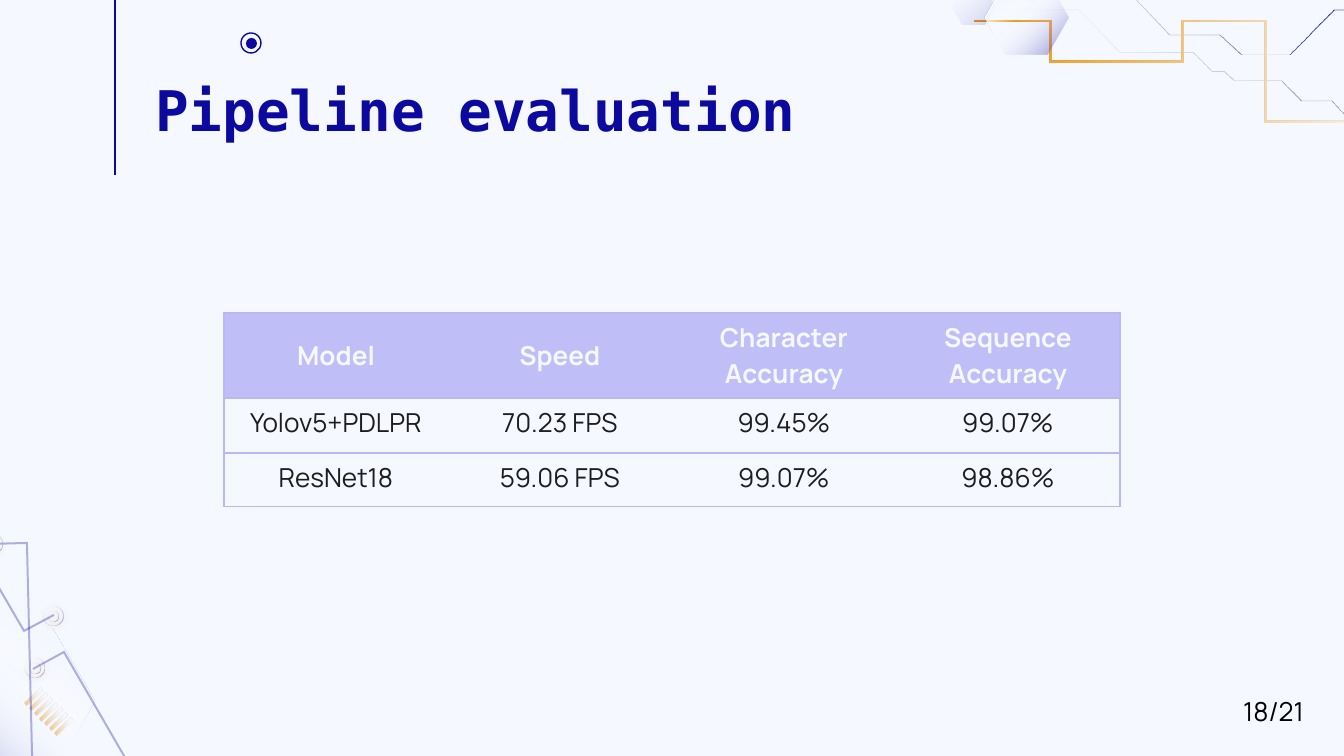
from dataclasses import dataclass
from math import cos, hypot, radians, sin

from lxml.etree import SubElement
from pptx import Presentation
from pptx.dml.color import RGBColor
from pptx.enum.shapes import MSO_CONNECTOR as CONN, MSO_SHAPE as SHAPE
from pptx.enum.text import MSO_ANCHOR as ANCHOR, PP_ALIGN as ALIGN
from pptx.oxml.ns import qn
from pptx.util import Pt

EMU_PER_PX = 914400 / 134.4
NAVY = RGBColor(0x0C, 0x0A, 0x9E)
ORANGE = RGBColor(0xEB, 0x91, 0x09)
PALE = RGBColor(0xF5, 0xF8, 0xFF)
WHITE = RGBColor(0xFF, 0xFF, 0xFF)
BLACK = RGBColor(0x00, 0x00, 0x00)
INK = RGBColor(0x1D, 0x1D, 0x1D)
LILAC = RGBColor(0xB9, 0xB8, 0xF3)
HEADER = RGBColor(0xC0, 0xBE, 0xF7)
BODY_FONT = "Manrope"
TITLE_FONT = "DejaVu Sans Mono"

Point = tuple[float, float]


@dataclass(frozen=True)
class Gradient:
    stops: tuple[tuple[int, RGBColor, int], ...]
    angle: int


@dataclass(frozen=True)
class Solid:
    color: RGBColor
    alpha: int


@dataclass(frozen=True)
class Hexagon:
    x: int
    y: int
    w: int
    h: int
    fill: Gradient


@dataclass(frozen=True)
class Trace:
    points: tuple[Point, ...]
    width: int
    rotation: float
    fill: Gradient | Solid


GLOW_STOPS = ((0, PALE, 100), (22, PALE, 100), (45, WHITE, 0), (100, NAVY, 50))
FAINT = Gradient(((0, NAVY, 20), (100, WHITE, 0)), 225)
RING = Gradient(((0, NAVY, 37), (100, WHITE, 0)), 225)
FINGER = Gradient(((0, ORANGE, 47), (78, PALE, 47), (100, PALE, 47)), 0)
CIRCUIT = Gradient(((0, NAVY, 100), (100, WHITE, 0)), 225)
AMBER = Gradient(((0, ORANGE, 100), (78, PALE, 100), (100, PALE, 100)), 45)
WIRE = Solid(NAVY, 31)

CORNER_HEXAGON = Hexagon(-74, 629, 168, 145, Gradient(GLOW_STOPS, 135))
TOP_HEXAGONS = (Hexagon(952, -11, 42, 36, FAINT),
                Hexagon(985, -19, 83, 73, Gradient(GLOW_STOPS, 45)))
FINGER_POINTS = ((40, 688), (25, 703), (27, 706), (42, 691))
RINGS = (((53, 616), (20, 11)), ((-8, 544), (20,)), ((35, 668), (20, 11)))
TRACES = (
    Trace(((54, 615), (24, 631), (-101, 416)), 2, 0, WIRE),
    Trace(((-8, 544), (27, 543), (33, 793)), 2, 358.7, WIRE),
    Trace(((33, 669), (64, 652), (189, 868)), 2, 330, WIRE),
    Trace(((968, 10), (1079, 10), (1120, 52), (1193, 52), (1212, 71), (1224, 71),
           (1234, 80), (1281, 80), (1301, 100), (1331, 100), (1346, 116),
           (1421, 116), (1477, 59), (1543, 59)), 1, 315, CIRCUIT),
    Trace(((974, 1), (1035, 1), (1048, -13), (1124, -13), (1169, 34), (1219, 34),
           (1241, 54), (1289, 54), (1333, 10), (1367, 10)), 1, 315, CIRCUIT),
    Trace(((974, 21), (1051, 21), (1051, 62), (1183, 62), (1183, 21), (1266, 21),
           (1266, 122), (1345, 122), (1370, 147), (1446, 147), (1446, 116),
           (1485, 116), (1485, 147), (1500, 147), (1500, 163), (1506, 163)), 2, 315, AMBER),
)
ROWS = (
    ("Model", "Speed", "Character Accuracy", "Sequence Accuracy"),
    ("Yolov5+PDLPR", "70.23 FPS", "99.45%", "99.07%"),
    ("ResNet18", "59.06 FPS", "99.07%", "98.86%"),
)
ROW_HEIGHTS = (85, 55, 54)


def px(n: float) -> int:
    return round(n * EMU_PER_PX)


def add_color(parent, color: RGBColor, alpha: int = 100) -> None:
    clr = SubElement(parent, qn("a:srgbClr"), val=str(color))
    if alpha < 100:
        SubElement(clr, qn("a:alpha"), val=str(alpha * 1000))


def paint(sp, fill: Gradient | Solid) -> None:
    sp.shadow.inherit = False
    sp.line.fill.background()
    sp.fill.background()
    spPr = sp._element.spPr
    empty = spPr.find(qn("a:noFill"))
    if isinstance(fill, Solid):
        el = spPr.makeelement(qn("a:solidFill"), {})
        add_color(el, fill.color, fill.alpha)
    else:
        el = spPr.makeelement(qn("a:gradFill"), {"rotWithShape": "1"})
        stops = SubElement(el, qn("a:gsLst"))
        for pos, color, alpha in fill.stops:
            add_color(SubElement(stops, qn("a:gs"), pos=str(pos * 1000)), color, alpha)
        SubElement(el, qn("a:lin"), ang=str(fill.angle * 60000), scaled="0")
    spPr.replace(empty, el)


def turn(p: Point, degrees: float) -> Point:
    c, s = cos(radians(degrees)), sin(radians(degrees))
    return p[0] * c - p[1] * s, p[0] * s + p[1] * c


def draw_outline(shapes, points, fill: Gradient | Solid, rotation: float = 0) -> None:
    pts = [turn(p, -rotation) for p in points]
    emu = [(px(x), px(y)) for x, y in pts]
    builder = shapes.build_freeform(*emu[0])
    builder.add_line_segments(emu[1:], close=True)
    sp = builder.convert_to_shape()
    cx, cy = turn((sp.left + sp.width / 2, sp.top + sp.height / 2), rotation)
    sp.left, sp.top = round(cx - sp.width / 2), round(cy - sp.height / 2)
    sp.rotation = rotation
    paint(sp, fill)


def draw_hexagon(shapes, hx: Hexagon) -> None:
    x, y, w, h = hx.x, hx.y, hx.w, hx.h
    pts = ((x + w / 4, y), (x, y + h / 2), (x + w / 4, y + h),
           (x + 3 * w / 4, y + h), (x + w, y + h / 2), (x + 3 * w / 4, y))
    draw_outline(shapes, pts, hx.fill)


def draw_trace(shapes, tr: Trace) -> None:
    pts = tr.points
    normals = []
    for (x1, y1), (x2, y2) in zip(pts, pts[1:]):
        d = hypot(x2 - x1, y2 - y1)
        normals.append(((y1 - y2) / d, (x2 - x1) / d))
    left, right = [], []
    for (x, y), (ax, ay), (bx, by) in zip(pts, normals[:1] + normals, normals + normals[-1:]):
        k = tr.width / 2 / (1 + ax * bx + ay * by)
        dx, dy = (ax + bx) * k, (ay + by) * k
        left.append((x + dx, y + dy))
        right.append((x - dx, y - dy))
    draw_outline(shapes, left + right[::-1], tr.fill, tr.rotation)


def draw_ring(shapes, center: Point, size: int) -> None:
    x, y = center
    sp = shapes.add_shape(SHAPE.DONUT, px(x - size / 2), px(y - size / 2), px(size), px(size))
    sp.adjustments[0] = 1 / size
    paint(sp, RING)
    shadow = SubElement(sp._element.spPr.find(qn("a:effectLst")), qn("a:outerShdw"),
                        blurRad=str(Pt(3.4)), dist=str(Pt(0.8)), dir="6000000")
    add_color(shadow, ORANGE)


def write(tf, text: str, *, size: int, color: RGBColor, font: str = BODY_FONT,
          bold: bool = False, align=ALIGN.LEFT) -> None:
    p = tf.paragraphs[0]
    p.alignment = align
    r = p.add_run()
    r.text = text
    f = r.font
    f.size, f.name, f.bold = Pt(size), font, bold
    f.color.rgb = color


def add_text(shapes, box: tuple[int, int, int, int], text: str, **fmt) -> None:
    tf = shapes.add_textbox(*map(px, box)).text_frame
    tf.word_wrap = True
    write(tf, text, **fmt)


def add_results(shapes) -> None:
    cols = len(ROWS[0])
    table = shapes.add_table(len(ROWS), cols, px(224), px(313), px(896),
                             px(sum(ROW_HEIGHTS))).table
    table.horz_banding = False
    for i, (row, height) in enumerate(zip(ROWS, ROW_HEIGHTS)):
        table.rows[i].height = px(height)
        head = i == 0
        for j, text in enumerate(row):
            cell = table.cell(i, j)
            tcPr = cell._tc.get_or_add_tcPr()
            for side, on in (("L", j == 0), ("R", j == cols - 1), ("T", True), ("B", True)):
                ln = SubElement(tcPr, qn(f"a:ln{side}"), w=str(Pt(0.75)))
                edge = SubElement(ln, qn("a:solidFill" if on else "a:noFill"))
                if on:
                    add_color(edge, LILAC)
            if head:
                cell.fill.solid()
                cell.fill.fore_color.rgb = HEADER
            else:
                cell.fill.background()
            cell.vertical_anchor = ANCHOR.MIDDLE if head else ANCHOR.TOP
            write(cell.text_frame, text, size=14, color=PALE if head else INK,
                  bold=head, align=ALIGN.CENTER)


def add_marker(shapes) -> None:
    dot = shapes.add_shape(SHAPE.OVAL, px(246), px(38), px(11), px(11))
    paint(dot, Solid(NAVY, 100))
    ring = shapes.add_shape(SHAPE.OVAL, px(241), px(33), px(20), px(20))
    ring.shadow.inherit = False
    ring.fill.background()
    bar = shapes.add_connector(CONN.STRAIGHT, px(115), px(175), px(115), px(-89))
    for sp in (ring, bar):
        sp.line.color.rgb = NAVY
        sp.line.width = Pt(0.75)
    SubElement(bar._element.spPr, qn("a:effectLst"))


def main() -> None:
    prs = Presentation()
    prs.slide_width, prs.slide_height = px(1344), px(756)
    s = prs.slides.add_slide(prs.slide_layouts[6])
    s.background.fill.solid()
    s.background.fill.fore_color.rgb = PALE
    shapes = s.shapes

    draw_hexagon(shapes, CORNER_HEXAGON)
    for step in range(0, 35, 5):
        draw_outline(shapes, [(x + step, y + step) for x, y in FINGER_POINTS], FINGER)
    for center, sizes in RINGS:
        for size in sizes:
            draw_ring(shapes, center, size)
    for tr in TRACES:
        draw_trace(shapes, tr)
    for hx in TOP_HEXAGONS:
        draw_hexagon(shapes, hx)
    add_marker(shapes)
    add_text(shapes, (-91, 69, 1133, 85), "Pipeline evaluation", size=30,
             color=NAVY, font=TITLE_FONT, bold=True, align=ALIGN.CENTER)
    add_results(shapes)
    add_text(shapes, (1230, 689, 105, 46), "18/21", size=14, color=BLACK)
    prs.save("out.pptx")


if __name__ == "__main__":
    main()
